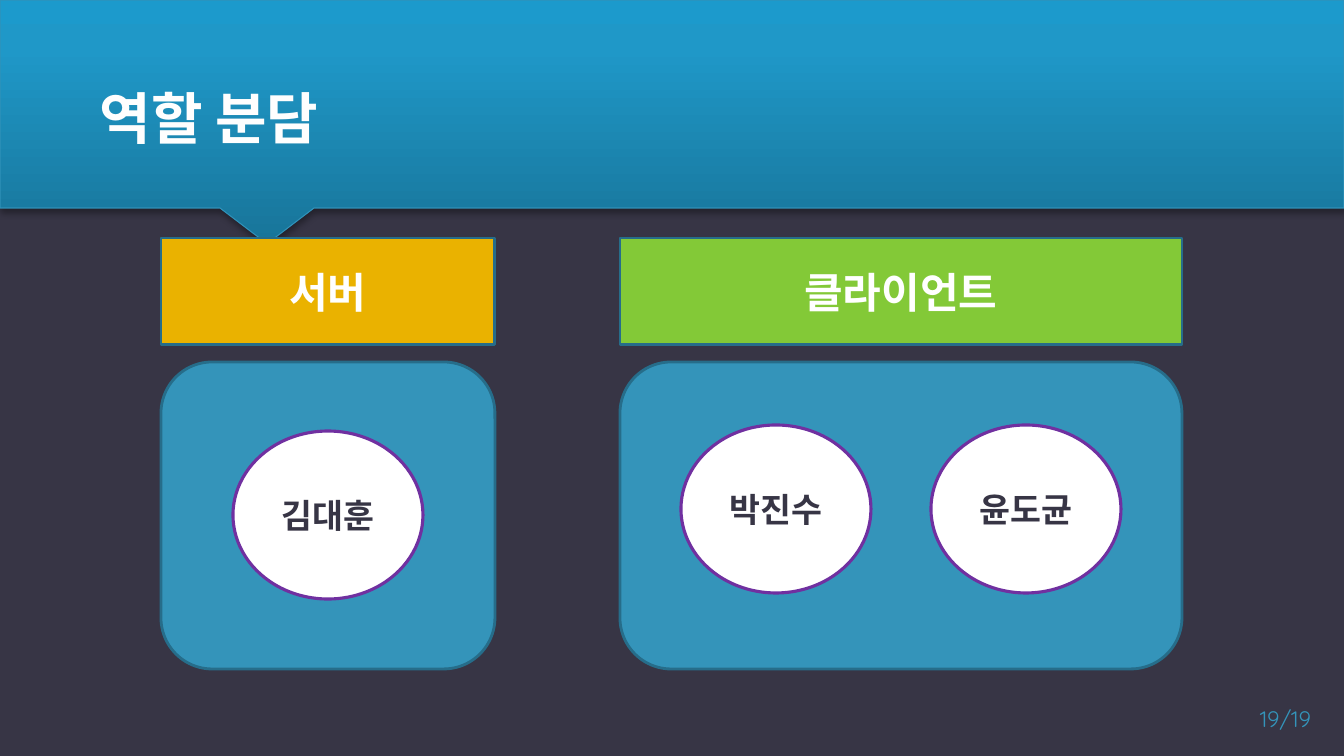
import copy
from dataclasses import dataclass

import pptx
import pptx.dml.color
import pptx.enum.shapes
import pptx.enum.text
import pptx.oxml
import pptx.oxml.ns
import pptx.util

SHAPE = pptx.enum.shapes.MSO_SHAPE
ALIGN = pptx.enum.text.PP_ALIGN
ANCHOR = pptx.enum.text.MSO_ANCHOR
SCALE = 914400 / 100.8


@dataclass(frozen=True)
class Theme:
    back: str = "373545"
    white: str = "FFFFFF"
    title: str = "FEFEFE"
    panel: str = "3494BA"
    edge: str = "266D8A"
    ring: str = "7030A0"
    server: str = "EAB200"
    client: str = "83C937"
    trim: str = "3092B9"
    fade: tuple = ((0, "18759A"), (0.8, "1F98C8"), (1, "1C9ACC"))
    sans: str = "Arial"
    hangul: str = "Noto Sans CJK KR"
    number: str = "Quicksand"
    huge: int = 40
    large: int = 30
    medium: int = 24
    small: int = 16


THEME = Theme()


def px(n):
    return pptx.util.Emu(round(n * SCALE))


def rgb(code):
    return pptx.dml.color.RGBColor.from_string(code)


def tag(name):
    return pptx.oxml.ns.qn(name)


def glow(effects):
    effects.append(pptx.oxml.parse_xml(
        f'<a:outerShdw {pptx.oxml.ns.nsdecls("a")} blurRad="39370" dist="22860" '
        'dir="5400000" algn="t" rotWithShape="0">'
        '<a:srgbClr val="000000"><a:alpha val="35000"/></a:srgbClr></a:outerShdw>'))


def write(shape, text, size, color, face, bold=True, align=ALIGN.CENTER,
          anchor=ANCHOR.MIDDLE):
    frame = shape.text_frame
    frame.word_wrap = True
    frame.vertical_anchor = anchor
    para = frame.paragraphs[0]
    para.text = text
    para.alignment = align
    font = para.font
    font.size = pptx.util.Pt(size)
    font.bold = bold
    font.name = face
    font.color.rgb = rgb(color)
    props = para._p.pPr.find(tag("a:defRPr"))
    if face == THEME.hangul:
        east = props.makeelement(tag("a:ea"), {"typeface": face})
        props.find(tag("a:latin")).addnext(east)
    return props


def block(slide, kind, box, fill, line, width):
    shape = slide.shapes.add_shape(kind, *map(px, box))
    shape.shadow.inherit = False
    shape.fill.solid()
    shape.fill.fore_color.rgb = rgb(fill)
    shape.line.color.rgb = rgb(line)
    shape.line.width = pptx.util.Pt(width)
    return shape


def banner(slide, box, text):
    left, top, wide, high = box
    right, base = left + wide, top + high
    tip = left + 267
    edge = [(left, top), (left, base), (tip - 47, base), (tip - 5, base + 32),
            (tip - 3, base + 33), (tip + 3, base + 33), (tip + 5, base + 32),
            (tip + 47, base), (right, base)]
    path = slide.shapes.build_freeform(right, top, SCALE)
    path.add_line_segments(edge, close=True)
    shape = path.convert_to_shape()
    shape.fill.gradient()
    shape.fill.gradient_angle = 90
    props = shape._element.spPr
    stops = props.find(".//" + tag("a:gsLst"))
    stops.insert(1, copy.deepcopy(stops[0]))
    for stop, (place, color) in zip(shape.fill.gradient_stops, THEME.fade):
        stop.position = place
        stop.color.rgb = rgb(color)
    shape.line.color.rgb = rgb(THEME.trim)
    shape.line.width = pptx.util.Pt(0.75)
    shape.shadow.inherit = False
    glow(props.find(tag("a:effectLst")))

    title = slide.shapes.add_textbox(px(left + 90), px(top + 49), px(1165), px(107))
    font = write(title, text, THEME.huge, THEME.title, THEME.sans,
                 align=ALIGN.LEFT, anchor=ANCHOR.BOTTOM)
    effects = font.makeelement(tag("a:effectLst"), {})
    font.find(tag("a:solidFill")).addnext(effects)
    glow(effects)


def team(slide, box, role, color, names, lift=0):
    left, top, wide, high = box
    head, gap = 107, 17
    label = block(slide, SHAPE.RECTANGLE, (left, top, wide, head),
                  color, THEME.edge, 2)
    write(label, role, THEME.large, THEME.white, THEME.hangul)
    start = top + head + gap
    depth = high - head - gap
    block(slide, SHAPE.ROUNDED_RECTANGLE, (left, start, wide, depth),
          THEME.panel, THEME.edge, 2)
    oval, tall, step = 190, 168, 250
    first = left + (wide - oval - step * (len(names) - 1)) // 2
    level = start + (depth - tall) // 2 - lift
    for i, name in enumerate(names):
        badge = block(slide, SHAPE.OVAL, (first + i * step, level, oval, tall),
                      THEME.white, THEME.ring, 2.25)
        write(badge, name, THEME.medium, THEME.back, THEME.hangul)


def footer(slide, box, text):
    shape = slide.shapes.add_textbox(*map(px, box))
    shape.text_frame.margin_bottom = px(1)
    write(shape, text, THEME.small, THEME.panel, THEME.number, bold=False,
          align=ALIGN.RIGHT, anchor=ANCHOR.BOTTOM)


def main():
    deck = pptx.Presentation()
    deck.slide_width, deck.slide_height = px(1344), px(756)
    slide = deck.slides.add_slide(deck.slide_layouts[6])
    slide.background.fill.solid()
    slide.background.fill.fore_color.rgb = rgb(THEME.back)
    banner(slide, (0, 0, 1344, 208), "역할 분담")
    team(slide, (161, 238, 334, 431), "서버", THEME.server, ["김대훈"])
    team(slide, (620, 238, 562, 431), "클라이언트", THEME.client,
         ["박진수", "윤도균"], lift=6)
    footer(slide, (1204, 679, 117, 54), "19/19")
    deck.save("out.pptx")


if __name__ == "__main__":
    main()
